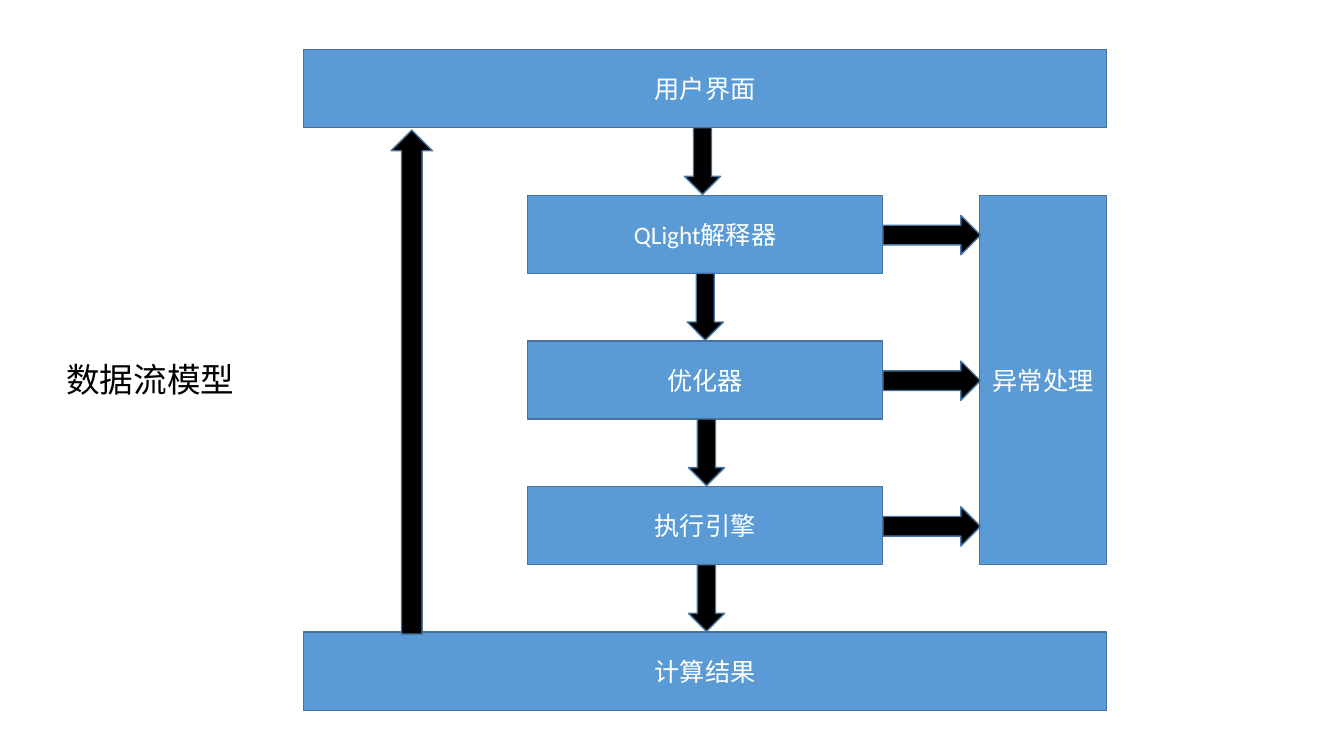
import pptx
import pptx.dml.color
import pptx.enum.shapes
import pptx.enum.text
import pptx.util

Cm = pptx.util.Cm
Pt = pptx.util.Pt
SHAPE = pptx.enum.shapes.MSO_SHAPE
ALIGN = pptx.enum.text.PP_ALIGN
ANCHOR = pptx.enum.text.MSO_ANCHOR


def color(hex_string):
    return pptx.dml.color.RGBColor.from_string(hex_string)


class FlowSlide:
    """Hold the style and the slide of a data flow diagram."""

    font = "Calibri"
    box_fill = "5B9BD5"
    outline = "43739E"
    arrow_fill = "000000"

    def __init__(self, presentation):
        self.slide = presentation.slides.add_slide(presentation.slide_layouts[6])

    def style_text(self, text_frame, text, size, text_color, alignment):
        text_frame.text = text
        text_frame.word_wrap = True
        paragraph = text_frame.paragraphs[0]
        paragraph.alignment = alignment
        font = paragraph.runs[0].font
        font.name = self.font
        font.size = Pt(size)
        font.color.rgb = color(text_color)

    def outlined(self, preset, left, top, width, height, fill):
        shape = self.slide.shapes.add_shape(
            preset, Cm(left), Cm(top), Cm(width), Cm(height))
        shape.shadow.inherit = False
        shape.fill.solid()
        shape.fill.fore_color.rgb = color(fill)
        shape.line.color.rgb = color(self.outline)
        shape.line.width = Pt(1)
        return shape

    def box(self, text, left, top, width, height):
        shape = self.outlined(
            SHAPE.RECTANGLE, left, top, width, height, self.box_fill)
        shape.text_frame.vertical_anchor = ANCHOR.MIDDLE
        self.style_text(shape.text_frame, text, 18, "FFFFFF", ALIGN.CENTER)

    def arrow(self, preset, left, top, width, height):
        self.outlined(preset, left, top, width, height, self.arrow_fill)

    def label(self, text, left, top, width, height):
        shape = self.slide.shapes.add_textbox(
            Cm(left), Cm(top), Cm(width), Cm(height))
        self.style_text(shape.text_frame, text, 24, "000000", ALIGN.LEFT)


def main():
    presentation = pptx.Presentation()
    presentation.slide_width = Cm(33.87)
    presentation.slide_height = Cm(19.05)
    flow = FlowSlide(presentation)

    box_height = 1.97
    row_pitch = 3.67
    row_tops = [1.25 + row_pitch * row for row in range(5)]
    wide = (7.65, 20.24)
    narrow = (13.3, 8.94)
    stages = [
        ("用户界面", wide),
        ("QLight解释器", narrow),
        ("优化器", narrow),
        ("执行引擎", narrow),
        ("计算结果", wide),
    ]
    for (text, (left, width)), top in zip(stages, row_tops):
        flow.box(text, left, top, width, box_height)
    flow.box("异常处理", 24.69, row_tops[1], 3.2, 2 * row_pitch + box_height)

    for left, top in zip((17.25, 17.32, 17.35, 17.35), row_tops):
        flow.arrow(SHAPE.DOWN_ARROW, left, top + box_height, 0.91, 1.68)
    for top in row_tops[1:4]:
        flow.arrow(SHAPE.RIGHT_ARROW, 22.25, top + 0.51, 2.46, 0.99)
    flow.arrow(SHAPE.UP_ARROW, 9.86, 3.28, 1.04, 12.7)

    flow.label("数据流模型", 1.42, 8.92, 4.8, 1.27)
    presentation.save("out.pptx")


if __name__ == "__main__":
    main()
